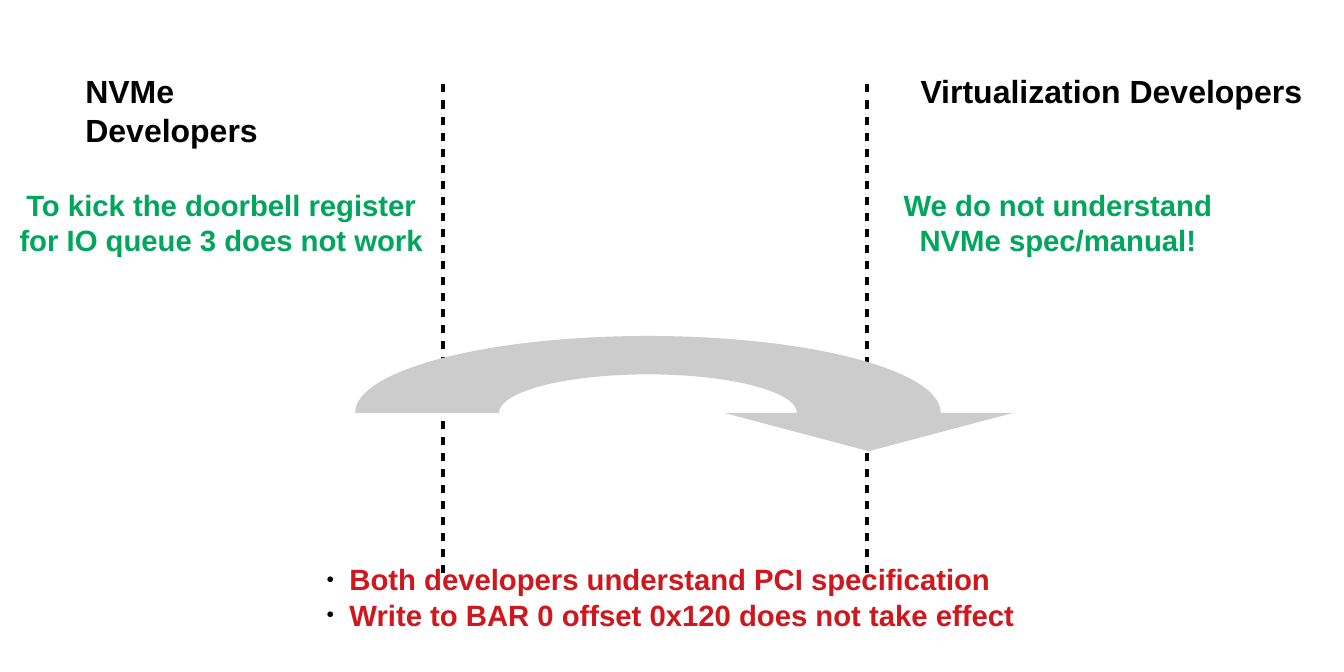
import math

import pptx
import pptx.dml.color
import pptx.enum.shapes
import pptx.enum.text
import pptx.oxml
import pptx.oxml.ns
import pptx.util
from pptx.util import Inches

COLOURS = {"ink": "000000", "problem": "00A65D", "shared": "CE181E", "arrow": "CCCCCC"}


def colour(name):
    return pptx.dml.color.RGBColor.from_string(COLOURS[name])


def element(xml):
    return pptx.oxml.parse_xml(xml.replace("/>", f" {pptx.oxml.ns.nsdecls('a')}/>", 1)
                               if xml.endswith("/>") and xml.count("<") == 1
                               else xml.replace(">", f" {pptx.oxml.ns.nsdecls('a')}>", 1))


def write(frame, lines, size=22, ink="ink", font="Arial", align=None):
    for index, line in enumerate(lines):
        paragraph = frame.paragraphs[0] if index == 0 else frame.add_paragraph()
        paragraph.alignment = align
        paragraph.space_before = pptx.util.Pt(0)
        run = paragraph.add_run()
        run.text = line
        run.font.name = font
        run.font.size = pptx.util.Pt(size)
        run.font.bold = True
        run.font.color.rgb = colour(ink)


def arc(centre, radii, start, end, steps=60):
    angles = [math.radians(start + (end - start) * step / steps) for step in range(steps + 1)]
    return [(centre[0] + radii[0] * math.cos(angle), centre[1] - radii[1] * math.sin(angle))
            for angle in angles]


class SlideBuilder:
    """Hold the style and the current slide, and add its elements."""

    def __init__(self, presentation):
        self.slide = presentation.slides.add_slide(presentation.slide_layouts[1])
        title = self.slide.shapes.title
        title.element.getparent().remove(title.element)

    def divider(self, x, top, bottom):
        line = self.slide.shapes.add_connector(
            pptx.enum.shapes.MSO_CONNECTOR.STRAIGHT,
            Inches(x), Inches(top), Inches(x), Inches(bottom))
        line.line.color.rgb = colour("ink")
        line.line.width = pptx.util.Pt(3)
        line.line._get_or_add_ln().append(
            element('<a:custDash><a:ds d="200000" sp="200000"/></a:custDash>'))
        line.element.spPr.append(element("<a:effectLst/>"))

    def label(self, lines, left, top, width, height, **style):
        box = self.slide.shapes.add_textbox(
            Inches(left), Inches(top), Inches(width), Inches(height))
        box.text_frame.word_wrap = False
        write(box.text_frame, lines, **style)

    def curved_arrow(self, centre, outer, inner, head_half_width, head_depth):
        x, y = centre
        middle = x + (outer[0] + inner[0]) / 2
        outline = arc(centre, inner, 0, 180) + arc(centre, outer, 180, 0)
        outline += [(middle + head_half_width, y), (middle, y + head_depth),
                    (middle - head_half_width, y)]
        points = [(Inches(across), Inches(down)) for across, down in outline]
        builder = self.slide.shapes.build_freeform(*points[0], scale=1.0)
        builder.add_line_segments(points[1:], close=True)
        shape = builder.convert_to_shape()
        shape.shadow.inherit = False
        shape.fill.solid()
        shape.fill.fore_color.rgb = colour("arrow")
        shape.line.fill.background()

    def bullets(self, lines, left, top, width, height, **style):
        body = self.slide.placeholders[1]
        body.left, body.top = Inches(left), Inches(top)
        body.width, body.height = Inches(width), Inches(height)
        self.slide.shapes._spTree.append(body.element)
        frame = body.text_frame
        frame.word_wrap = True
        frame.auto_size = pptx.enum.text.MSO_AUTO_SIZE.NONE
        frame.vertical_anchor = pptx.enum.text.MSO_ANCHOR.TOP
        write(frame, lines, **style)
        for paragraph in frame.paragraphs:
            properties = paragraph._p.get_or_add_pPr()
            properties.set("marL", str(Inches(0.24)))
            properties.set("indent", str(Inches(-0.24)))
            for xml in (f'<a:buClr><a:srgbClr val="{COLOURS["ink"]}"/></a:buClr>',
                        '<a:buSzPct val="45000"/>',
                        '<a:buFont typeface="Arial"/>',
                        '<a:buChar char="●"/>'):
                properties.append(element(xml))


def main():
    presentation = pptx.Presentation()
    presentation.slide_width = Inches(14)
    presentation.slide_height = Inches(7)
    builder = SlideBuilder(presentation)
    for x in (4.62, 9.03):
        builder.divider(x, 0.88, 5.98)
    builder.label(["NVMe Developers"], 0.79, 0.7, 3.01, 0.47, size=24)
    builder.label(["Virtualization Developers"], 9.49, 0.7, 4.18, 0.47, size=24)
    builder.curved_arrow((6.75, 4.3), (3.05, 0.8), (1.55, 0.4), 1.51, 0.4)
    centred = {"ink": "problem", "align": pptx.enum.text.PP_ALIGN.CENTER}
    builder.label(["To kick the doorbell register", "for IO queue 3 does not work"],
                  0.1, 1.9, 4.41, 0.78, **centred)
    builder.label(["We do not understand", "NVMe spec/manual!"],
                  9.31, 1.9, 3.42, 0.78, **centred)
    builder.bullets(["Both developers understand PCI specification",
                     "Write to BAR 0 offset 0x120 does not take effect"],
                    3.3, 5.8, 8.5, 0.8, ink="shared")
    presentation.save("out.pptx")


if __name__ == "__main__":
    main()
